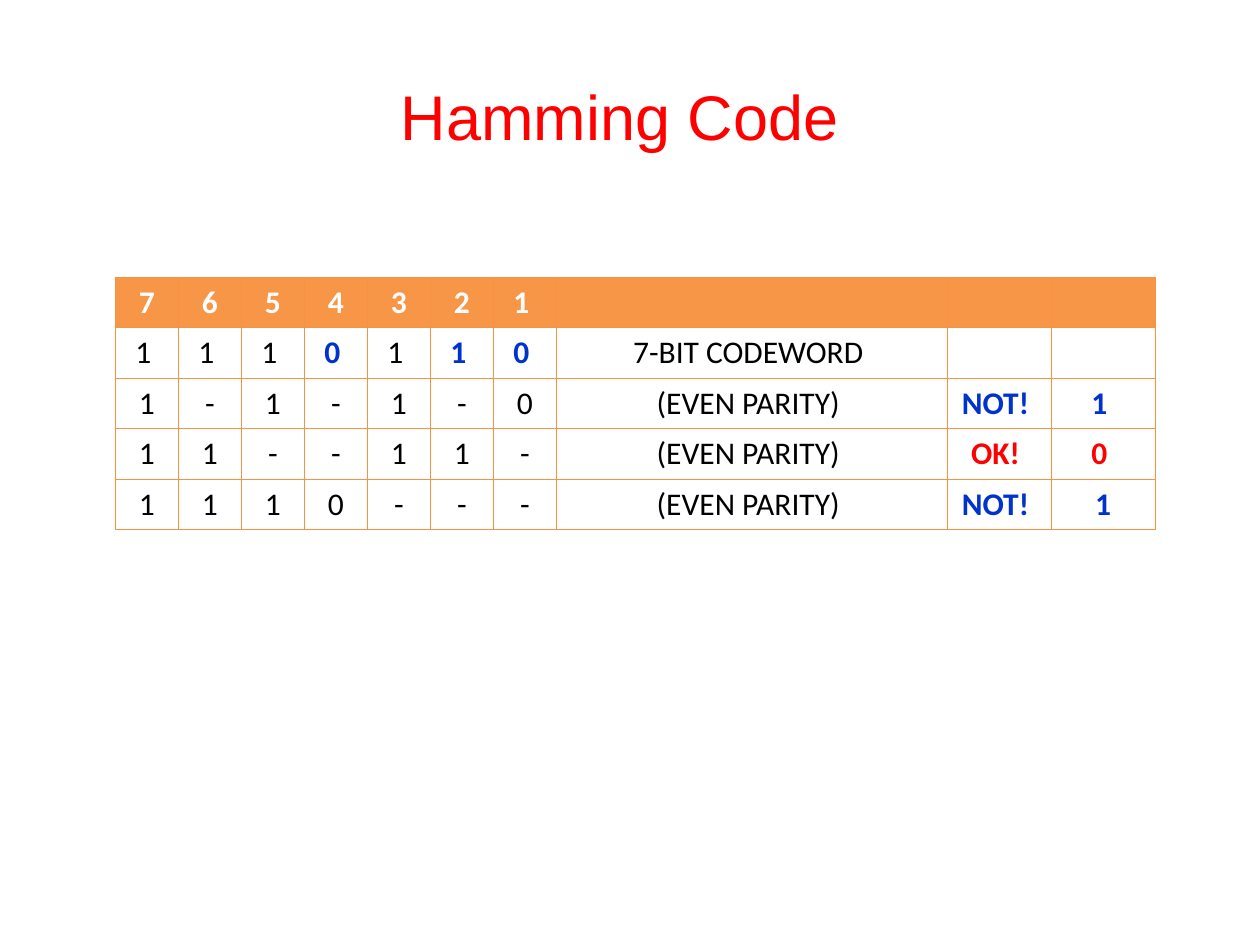
"""Build the Hamming Code parity check slide."""
from lxml import etree
from pptx import Presentation
from pptx.dml.color import RGBColor
from pptx.enum.text import MSO_ANCHOR, PP_ALIGN
from pptx.oxml.ns import qn
from pptx.util import Pt

CENTER = PP_ALIGN.CENTER
MIDDLE = MSO_ANCHOR.MIDDLE
RED = RGBColor(0xFF, 0x00, 0x00)
BLUE = RGBColor(0x00, 0x33, 0xCC)
BLACK = RGBColor(0x00, 0x00, 0x00)
WHITE = RGBColor(0xFF, 0xFF, 0xFF)
ORANGE = RGBColor(0xF7, 0x96, 0x46)
BORDER = RGBColor(0xF6, 0x92, 0x40)


def write(tf, text, font="Calibri", size=18, color=BLACK, bold=False):
    p = tf.paragraphs[0]
    p.alignment = CENTER
    r = p.add_run()
    r.text = text
    r.font.name = font
    r.font.size = Pt(size)
    r.font.color.rgb = color
    r.font.bold = bold


def add_borders(cell):
    tc_pr = cell._tc.get_or_add_tcPr()
    for side in ("a:lnL", "a:lnR", "a:lnT", "a:lnB"):
        ln = etree.SubElement(tc_pr, qn(side), w=str(Pt(0.34)))
        fill = etree.SubElement(ln, qn("a:solidFill"))
        etree.SubElement(fill, qn("a:srgbClr"), val=str(BORDER))


prs = Presentation()
prs.slide_width, prs.slide_height = Pt(720), Pt(540)
s = prs.slides.add_slide(prs.slide_layouts[6])

title = s.shapes.add_textbox(Pt(30), Pt(24), Pt(648), Pt(84))
tf = title.text_frame
tf.word_wrap = True
tf.vertical_anchor = MIDDLE
write(tf, "Hamming Code", font="Arial", size=36, color=RED)

ROWS = [
    ["7", "6", "5", "4", "3", "2", "1 ", "", "", ""],
    ["1 ", "1 ", "1 ", "0 ", "1 ", "1 ", "0 ", "7-BIT CODEWORD ", "", ""],
    ["1", "-", "1", "-", "1", "-", "0", "(EVEN PARITY) ", "NOT! ", "1 "],
    ["1", "1", "-", "-", "1", "1", "-", "(EVEN PARITY) ", "OK! ", "0 "],
    ["1", "1", "1", "0", "-", "-", "-", "(EVEN PARITY) ", "NOT! ", "1"],
]
WIDTHS = [36] * 7 + [223.2, 59.4, 59.4]
ROW_HEIGHT = 28.8
PARITY_COLS = (3, 5, 6)
RESULT_COLS = (8, 9)

frame = s.shapes.add_table(len(ROWS), len(WIDTHS), Pt(66), Pt(158.4),
                           Pt(sum(WIDTHS)), Pt(ROW_HEIGHT * len(ROWS)))
table = frame.table
for col, width in zip(table.columns, WIDTHS):
    col.width = Pt(width)

for i, row in enumerate(ROWS):
    table.rows[i].height = Pt(ROW_HEIGHT)
    for j, text in enumerate(row):
        cell = table.cell(i, j)
        cell.vertical_anchor = MIDDLE
        add_borders(cell)
        if i == 0:
            cell.fill.solid()
            cell.fill.fore_color.rgb = ORANGE
            color = WHITE
        else:
            cell.fill.background()
            if j in RESULT_COLS:
                color = RED if row[8] == "OK! " else BLUE
            elif i == 1 and j in PARITY_COLS:
                color = BLUE
            else:
                color = BLACK
        if text:
            write(cell.text_frame, text, color=color, bold=color != BLACK)

prs.save("out.pptx")
